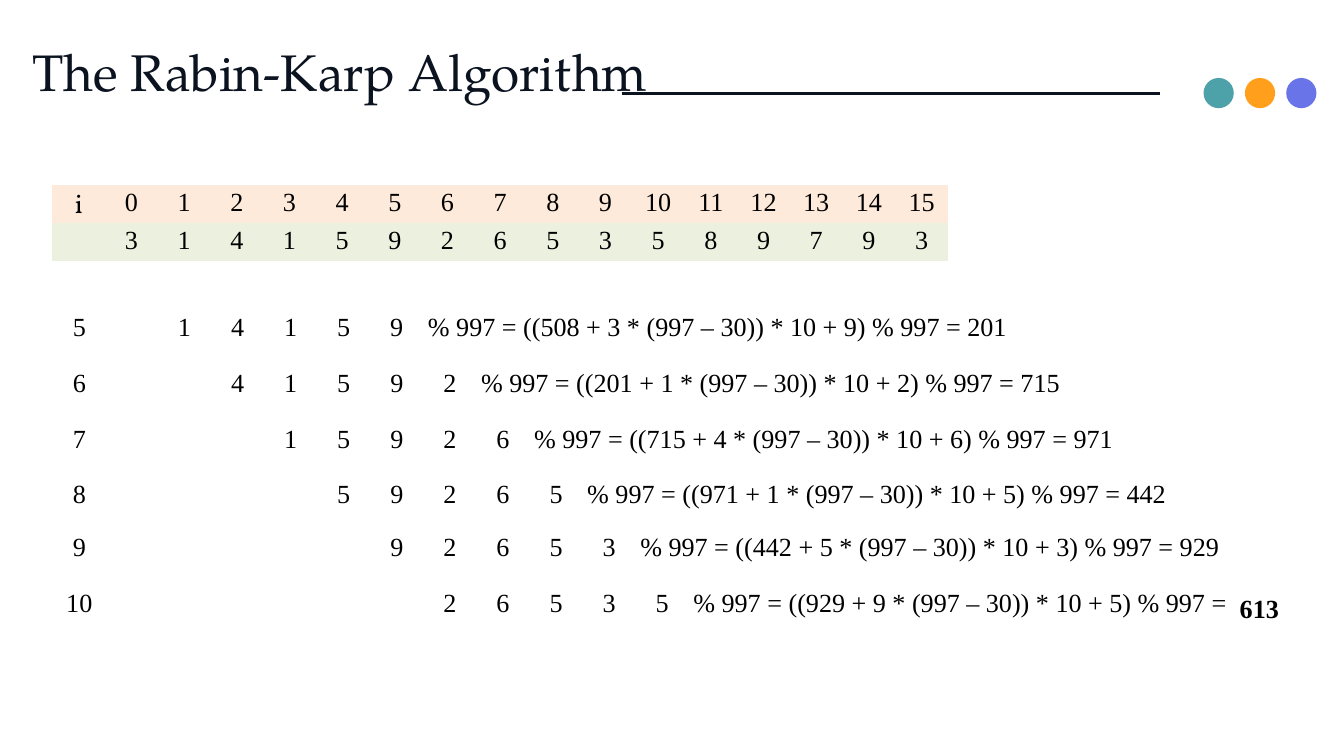
from lxml import etree
from pptx import Presentation
from pptx import util as u
from pptx.dml.color import RGBColor
from pptx.enum import shapes, text
from pptx.oxml.ns import qn

WIDE, HIGH = 20, 11.25
LEFT, STEP, ROW = 0.78, 0.79, 0.57
SERIF = "Times New Roman"
HUE = {
    "ink": "0B1320", "text": "000000", "index": "FDEADA", "digit": "EBF1DE",
    "teal": "4DA1A9", "amber": "FF9F1C", "violet": "6874E8",
}
PLAIN = "{2D5ABB26-0587-4C30-8999-92F81FD0307C}"  # no style, no grid
DIGITS = [int(d) for d in "3141592653589793"]
SPAN, BASE, PRIME = 5, 10, 997
TOPS = [4.61, 5.44, 6.27, 7.1, 7.89, 8.72]


def rgb(name):
    return RGBColor.from_string(HUE[name])


def write(frame, words, size=28, font=SERIF, hue="text", bold=False,
          align=text.PP_ALIGN.LEFT, space=None):
    para = frame.paragraphs[0]
    para.alignment = align
    if space:
        para.line_spacing = space
    run = para.add_run()
    run.text = words
    run.font.size = u.Pt(size)
    run.font.name = font
    run.font.bold = bold
    run.font.color.rgb = rgb(hue)


def add_box(slide, words, place, pads, wrap=True, **form):
    """Add a text box; pads are its left, top, right and bottom insets."""
    frame = slide.shapes.add_textbox(*map(u.Inches, place)).text_frame
    frame.word_wrap = wrap
    (frame.margin_left, frame.margin_top,
     frame.margin_right, frame.margin_bottom) = map(u.Inches, pads)
    write(frame, words, **form)


def add_rule(slide, start, end, y):
    line = slide.shapes.add_connector(
        shapes.MSO_CONNECTOR.STRAIGHT, *map(u.Inches, (start, y, end, y)))
    line.line.color.rgb = rgb("ink")
    line.line.width = u.Pt(3)
    etree.SubElement(line._element.spPr, qn("a:effectLst"))


def add_dot(slide, x, y, size, hue):
    dot = slide.shapes.add_shape(
        shapes.MSO_SHAPE.OVAL, *map(u.Inches, (x, y, size, size)))
    dot.shadow.inherit = False
    dot.fill.solid()
    dot.fill.fore_color.rgb = rgb(hue)
    dot.line.fill.background()


def add_grid(slide, rows, x, y, widths, fills=None):
    """Add an unruled table; cells are centred, except formulas."""
    place = map(u.Inches, (x, y, sum(widths), ROW * len(rows)))
    grid = slide.shapes.add_table(len(rows), len(widths), *place).table
    grid.first_row = grid.horz_banding = False
    grid._tbl.tblPr.find(qn("a:tableStyleId")).text = PLAIN
    for col, width in zip(grid.columns, widths):
        col.width = u.Inches(width)
    for r, row in enumerate(rows):
        grid.rows[r].height = u.Inches(ROW)
        for c, words in enumerate(row):
            cell = grid.cell(r, c)
            cell.margin_left = cell.margin_right = u.Inches(0.07)
            cell.margin_top = cell.margin_bottom = u.Inches(0.05)
            if fills:
                cell.fill.solid()
                cell.fill.fore_color.rgb = rgb(fills[r])
            else:
                cell.fill.background()
            formula = words.startswith("%")
            write(cell.text_frame, words,
                  font="Vollkorn" if words == "i" else SERIF,
                  align=text.PP_ALIGN.LEFT if formula else text.PP_ALIGN.CENTER)


def add_steps(slide):
    """Roll the hash along the digits, one line per step; return the last hash."""
    value = int("".join(map(str, DIGITS[:SPAN]))) % PRIME
    for k, top in enumerate(TOPS):
        old, new = DIGITS[k], DIGITS[k + SPAN]
        sum_ = (f"% {PRIME} = (({value} + {old} * ({PRIME} – 30)) "
                f"* {BASE} + {new}) % {PRIME} =")
        value = ((value + old * (PRIME - 30)) * BASE + new) % PRIME
        if k < len(TOPS) - 1:
            sum_ += f" {value}"
        add_grid(slide, [[str(k + SPAN)]], LEFT, top, [0.8])
        window = [str(d) for d in DIGITS[k + 1:k + 1 + SPAN]]
        add_grid(slide, [window + [sum_]], LEFT + STEP * (k + 2) - 0.01, top,
                 [STEP] * SPAN + [9.1])
    return value


def main():
    deck = Presentation()
    deck.slide_width, deck.slide_height = u.Inches(WIDE), u.Inches(HIGH)
    slide = deck.slides.add_slide(deck.slide_layouts[6])

    add_box(slide, "The Rabin-Karp Algorithm", (0.48, 0.41, 12.65, 1.11),
            (0, 0, 0, 0), size=55, font="TeX Gyre Pagella", hue="ink", space=1.2)
    add_rule(slide, 9.25, 17.26, 1.39)
    for n, hue in enumerate(("teal", "amber", "violet")):
        add_dot(slide, 17.91 + 0.615 * n, 1.16, 0.45, hue)

    index = ["i"] + [str(n) for n in range(len(DIGITS))]
    digits = [""] + [str(d) for d in DIGITS]
    add_grid(slide, [index, digits], LEFT, 2.75,
             [13.33 / len(index)] * len(index), ("index", "digit"))
    last = add_steps(slide)
    add_box(slide, str(last), (18.35, 8.71, 0.79, ROW), (0.1, 0.1, 0.1, 0),
            wrap=False, bold=True)
    deck.save("out.pptx")


if __name__ == "__main__":
    main()
